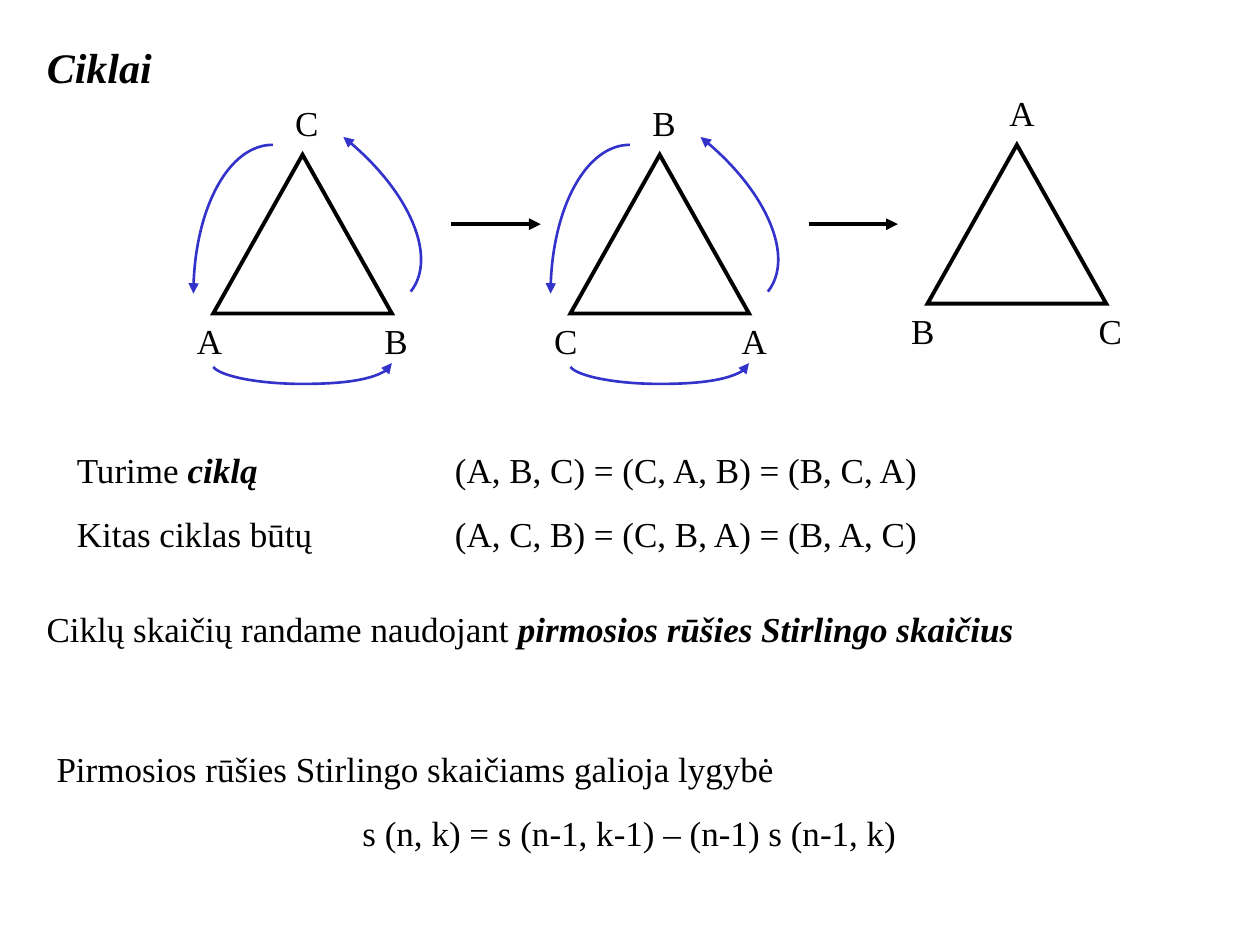
from lxml import etree
from pptx import Presentation
from pptx.dml.color import RGBColor
from pptx.enum.shapes import MSO_CONNECTOR, MSO_SHAPE
from pptx.enum.text import MSO_ANCHOR, MSO_AUTO_SIZE, PP_ALIGN
from pptx.oxml.ns import qn
from pptx.util import Cm, Pt

STRAIGHT = MSO_CONNECTOR.STRAIGHT
TRIANGLE = MSO_SHAPE.ISOSCELES_TRIANGLE
TOP = MSO_ANCHOR.TOP
NO_FIT = MSO_AUTO_SIZE.NONE
LEFT, CENTER = PP_ALIGN.LEFT, PP_ALIGN.CENTER

FONT = "Times New Roman"
BLACK, BLUE = "000000", "3333CC"

# Curves as fractions of their box: a start, then three points per Bézier
SIDE_ARC = [(1, 0), (0.45, 0), (0, 0.45), (0, 1)]
BASE_ARC = [(0, 0.19), (0.04, 0.63), (0.25, 1), (0.5, 1),
            (0.77, 1), (1, 0.56), (1, 0)]


def color(value):
    return RGBColor.from_string(value)


def style_line(sp, value, width, end):
    """Colour the line and end it with the given XML element."""
    sp.line.color.rgb = color(value)
    sp.line.width = Pt(width)
    ln = sp.line._get_or_add_ln()
    tag, attributes = end
    etree.SubElement(ln, qn(tag), attributes)


ARROW = ("a:tailEnd", {"type": "triangle"})
MITER = ("a:miter", {"lim": "800000"})


def format_paragraph(p, size, align=LEFT, bold=False, tab=None):
    p.alignment = align
    if tab:
        tabs = etree.SubElement(p._p.get_or_add_pPr(), qn("a:tabLst"))
        etree.SubElement(tabs, qn("a:tab"), pos=str(Cm(tab)), algn="l")
    font = p.font
    font.name, font.size = FONT, Pt(size)
    font.color.rgb = color(BLACK)
    font.bold = font.italic = bold


def add_text(slide, box, lines, aligns=(LEFT, LEFT), tab=None):
    """Each line is a list of (text, emphasised) runs."""
    tf = slide.shapes.add_textbox(*map(Cm, box)).text_frame
    tf.word_wrap = True
    for i, (line, align) in enumerate(zip(lines, aligns)):
        p = tf.add_paragraph() if i else tf.paragraphs[0]
        if i:
            p.space_before = Pt(12.5)
        format_paragraph(p, 20, align, tab=tab)
        for text, emphasised in line:
            r = p.add_run()
            r.text = text
            if emphasised:
                r.font.bold = r.font.italic = True


def add_title(slide, box, text):
    title = slide.shapes.title
    title.left, title.top, title.width, title.height = map(Cm, box)
    tf = title.text_frame
    tf.text = text
    tf.vertical_anchor = TOP
    tf.auto_size = NO_FIT
    format_paragraph(tf.paragraphs[0], 24, bold=True)


def add_curve(slide, box, points, rotation=0):
    x, y, w, h = box
    start, *rest = [(Cm(x + u * w), Cm(y + v * h)) for u, v in points]
    builder = slide.shapes.build_freeform(*start)
    builder.add_line_segments(rest, close=False)
    sp = builder.convert_to_shape()
    # Turn every three line segments into one Bézier segment
    segments = list(sp._element.iter(qn("a:lnTo")))
    for i in range(0, len(segments), 3):
        curve = etree.Element(qn("a:cubicBezTo"))
        segments[i].addprevious(curve)
        for segment in segments[i:i + 3]:
            curve.append(segment[0])
            segment.getparent().remove(segment)
    sp.shadow.inherit = False
    sp.fill.background()
    sp.rotation = rotation
    style_line(sp, BLUE, 1.5, ARROW)


def add_triangle(slide, box, corners):
    """Triangle with its left, right and top corners named."""
    x, y, w, h = box
    sp = slide.shapes.add_shape(TRIANGLE, *map(Cm, box))
    sp.shadow.inherit = False
    sp.fill.background()
    style_line(sp, BLACK, 2.25, MITER)
    places = [(-0.58, h), (w - 0.4, h), (w / 2 - 0.4, -1.19)]
    for name, (dx, dy) in zip(corners, places):
        add_text(slide, (x + dx, y + dy, 1, 1.12), [[(name, False)]])


def add_rotation(slide, box):
    """Curved arrows around a triangle and the arrow to the next one."""
    x, y, w, h = box
    add_curve(slide, (x - 0.4, y - 0.2, 1.6, 3), SIDE_ARC)
    add_curve(slide, (x, y + h + 1, w, 0.42), BASE_ARC)
    add_curve(slide, (x + w - 1.1, y - 0.3, 1.6, 3), SIDE_ARC, 128.4)
    start, level = x + w + 1.2, y + 1.4
    line = slide.shapes.add_connector(
        STRAIGHT, Cm(start), Cm(level), Cm(start + 1.8), Cm(level))
    style_line(line, BLACK, 2.25, ARROW)
    etree.SubElement(line._element.spPr, qn("a:effectLst"))


def add_cycle(slide, box, states):
    x, y, w, h = box
    pitch = 7.2
    for i, corners in enumerate(states):
        last = i == len(states) - 1
        part = (x + i * pitch, y - 0.2 if last else y, w, h)
        add_triangle(slide, part, corners)
        if not last:
            add_rotation(slide, part)


def main():
    prs = Presentation()
    prs.slide_width, prs.slide_height = Cm(25.4), Cm(19.05)
    slide = prs.slides.add_slide(prs.slide_layouts[5])

    add_title(slide, (0.69, 0.71, 23.6, 1.27), "Ciklai")
    add_cycle(slide, (4.3, 3.12, 3.6, 3.2), ["ABC", "CAB", "BCA"])

    # Equal notations of each cycle
    add_text(slide, (1.3, 8.92, 22.8, 2.39), [
        [("Turime ", False), ("ciklą", True),
         ("\t(A, B, C) = (C, A, B) = (B, C, A)", False)],
        [("Kitas ciklas būtų\t(A, C, B) = (C, B, A) = (B, A, C)", False)],
    ], tab=7.62)

    # Stirling numbers
    add_text(slide, (0.69, 12.12, 23.6, 1.12), [
        [("Ciklų skaičių randame naudojant ", False),
         ("pirmosios rūšies Stirlingo skaičius", True)],
    ])
    add_text(slide, (0.89, 14.94, 23.6, 2.39), [
        [("Pirmosios rūšies Stirlingo skaičiams galioja lygybė", False)],
        [("s (n, k) = s (n-1, k-1) – (n-1) s (n-1, k)", False)],
    ], aligns=(LEFT, CENTER))

    prs.save("out.pptx")


if __name__ == "__main__":
    main()
